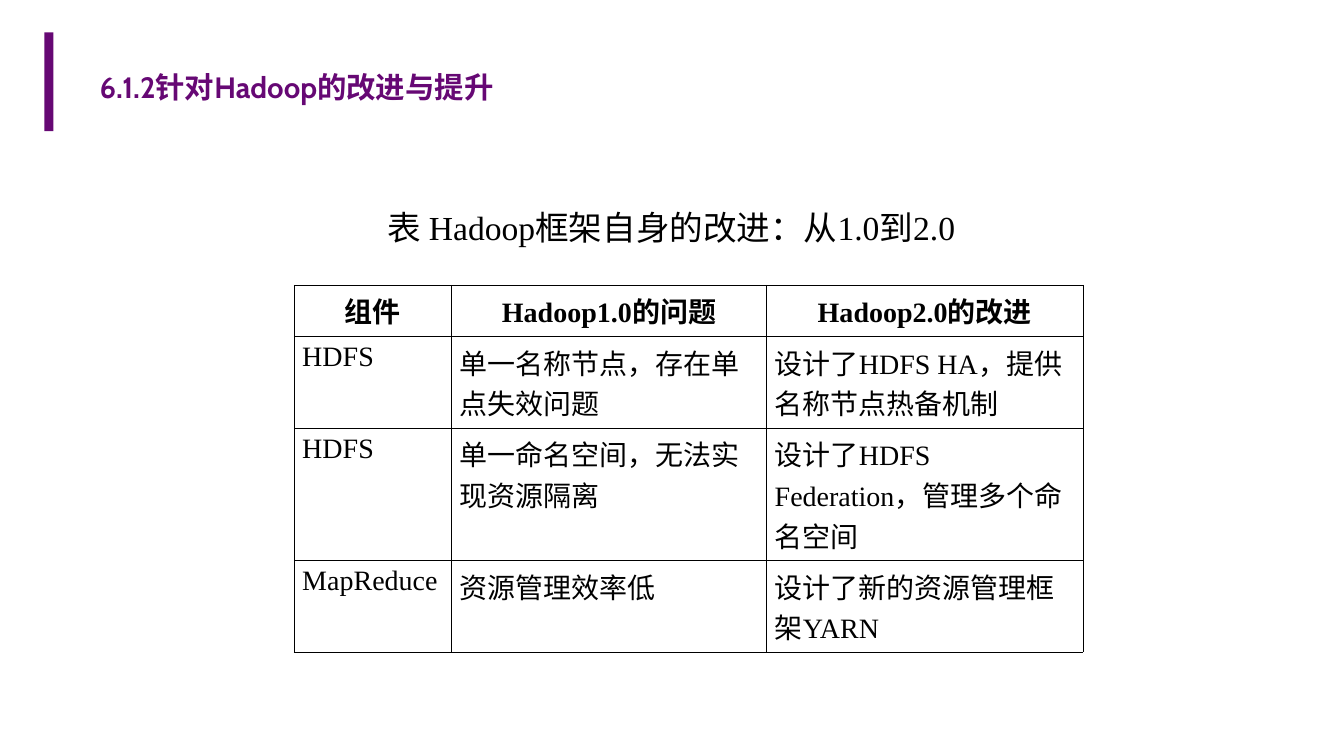
from lxml.etree import SubElement
from pptx import Presentation
from pptx.dml.color import RGBColor
from pptx.enum.lang import MSO_LANGUAGE_ID as Language
from pptx.enum.shapes import MSO_SHAPE as Shape
from pptx.enum.text import MSO_ANCHOR as Anchor, PP_ALIGN as Align
from pptx.oxml.ns import qn
from pptx.util import Emu, Pt

TITLE = "6.1.2针对Hadoop的改进与提升"
CAPTION = "表 Hadoop框架自身的改进：从1.0到2.0"
ROWS = [
    ("组件", "Hadoop1.0的问题", "Hadoop2.0的改进"),
    ("HDFS", "单一名称节点，存在单点失效问题", "设计了HDFS HA，提供名称节点热备机制"),
    ("HDFS", "单一命名空间，无法实现资源隔离", "设计了HDFS Federation，管理多个命名空间"),
    ("MapReduce", "资源管理效率低", "设计了新的资源管理框架YARN"),
]

THEME = {
    "accent": "660874",
    "ink": "000000",
    "title": {"name": "Cabin", "size": Pt(21), "bold": True},
    "caption": {"name": "Times New Roman", "size": Pt(24), "bold": False},
    "header": {"name": "Times New Roman", "size": Pt(20), "bold": True},
    "body": {"name": "Times New Roman", "size": Pt(20), "bold": False},
    "border": Pt(0.45),
}

SLIDE_SIZE = (1334, 750)
BAR_BOX = (44, 32, 9, 98)
TITLE_BOX = (89, 31, 1151, 111)
CAPTION_BOX = (333, 200, 667, 50)
TABLE_ORIGIN = (292, 283)
COLUMN_WIDTHS = (156, 313, 314)
ROW_HEIGHTS = (51, 91, 131, 91)
CELL_MARGINS = {"margin_left": 8, "margin_right": 8, "margin_top": 5, "margin_bottom": 5}
PX = 9144


def px(*lengths):
    return [Emu(length * PX) for length in lengths]


def set_attributes(target, values):
    for name, value in values.items():
        setattr(target, name, value)


def write(text_frame, text, style, color=THEME["ink"], align=Align.LEFT):
    paragraph = text_frame.paragraphs[0]
    paragraph.alignment = align
    run = paragraph.add_run()
    run.text = text
    set_attributes(run.font, {**THEME[style], "language_id": Language.SIMPLIFIED_CHINESE})
    run.font.color.rgb = RGBColor.from_string(color)


def add_text(slide, box, text, style, **options):
    text_frame = slide.shapes.add_textbox(*px(*box)).text_frame
    set_attributes(text_frame, {"word_wrap": True, "vertical_anchor": Anchor.MIDDLE})
    write(text_frame, text, style, **options)


def add_borders(cell):
    properties = cell._tc.get_or_add_tcPr()
    for side in ("lnL", "lnR", "lnT", "lnB"):
        line = SubElement(properties, qn(f"a:{side}"), w=str(THEME["border"]))
        fill = SubElement(line, qn("a:solidFill"))
        SubElement(fill, qn("a:srgbClr"), val=THEME["ink"])


def add_comparison_table(slide):
    size = (sum(COLUMN_WIDTHS), sum(ROW_HEIGHTS))
    table = slide.shapes.add_table(
        len(ROWS), len(COLUMN_WIDTHS), *px(*TABLE_ORIGIN, *size)
    ).table
    table.horz_banding = False
    for column, width in zip(table.columns, px(*COLUMN_WIDTHS)):
        column.width = width
    for row, height in zip(table.rows, px(*ROW_HEIGHTS)):
        row.height = height
    margins = dict(zip(CELL_MARGINS, px(*CELL_MARGINS.values())))
    for row_index, texts in enumerate(ROWS):
        style, align = ("body", Align.LEFT) if row_index else ("header", Align.CENTER)
        for column_index, text in enumerate(texts):
            cell = table.cell(row_index, column_index)
            set_attributes(cell, margins)
            add_borders(cell)
            cell.fill.background()
            write(cell.text_frame, text, style, align=align)


def main():
    presentation = Presentation()
    width, height = px(*SLIDE_SIZE)
    set_attributes(presentation, {"slide_width": width, "slide_height": height})
    slide = presentation.slides.add_slide(presentation.slide_layouts[6])

    bar = slide.shapes.add_shape(Shape.RECTANGLE, *px(*BAR_BOX))
    bar.shadow.inherit = False
    bar.fill.solid()
    bar.fill.fore_color.rgb = RGBColor.from_string(THEME["accent"])
    bar.line.fill.background()

    add_text(slide, TITLE_BOX, TITLE, "title", color=THEME["accent"])
    add_comparison_table(slide)
    add_text(slide, CAPTION_BOX, CAPTION, "caption", align=Align.CENTER)
    presentation.save("out.pptx")


if __name__ == "__main__":
    main()
